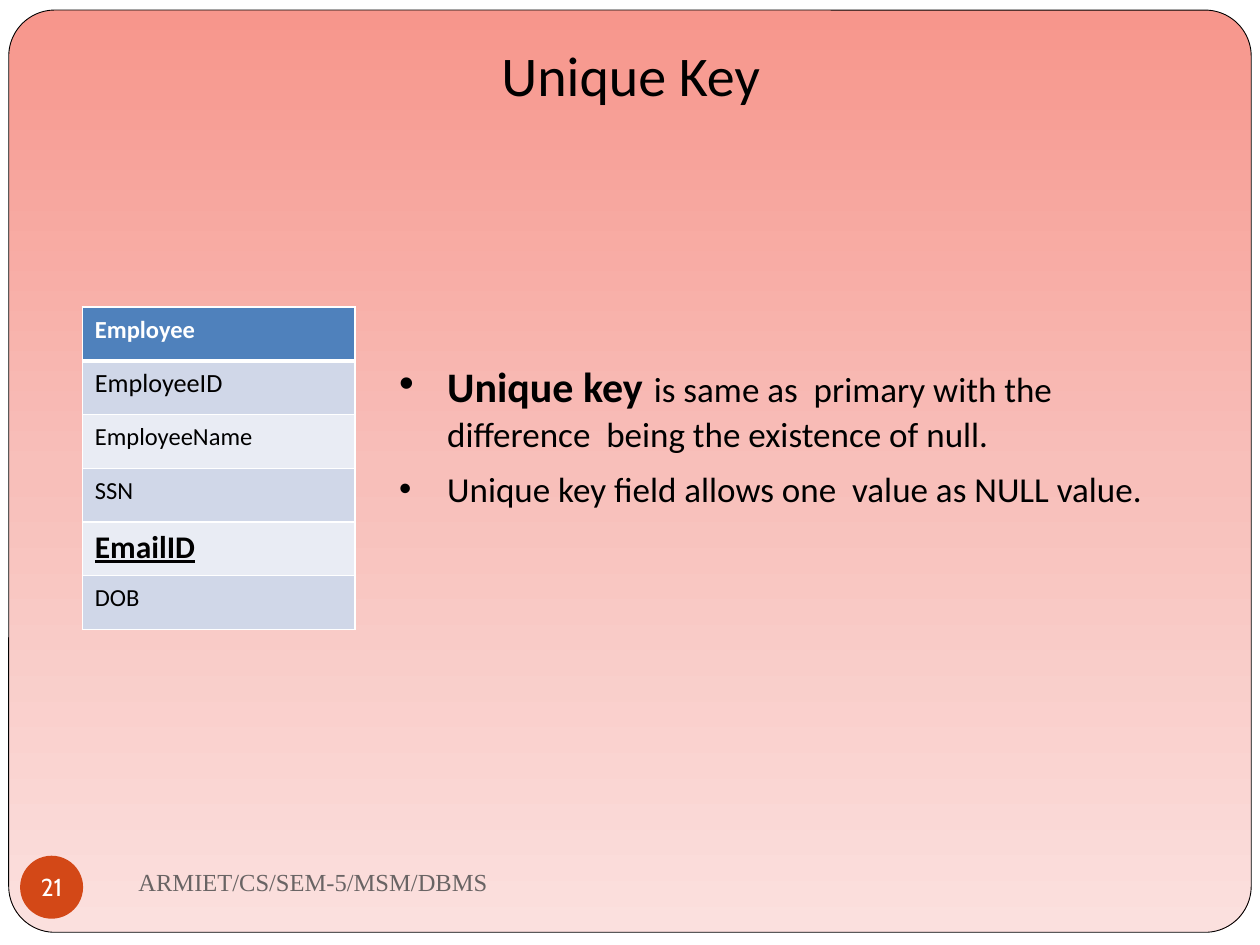
from dataclasses import dataclass

import lxml.etree
import pptx
import pptx.dml.color
import pptx.enum.shapes
import pptx.enum.text
import pptx.oxml.ns
import pptx.util

Pt = pptx.util.Pt
qn = pptx.oxml.ns.qn
Anchor = pptx.enum.text.MSO_ANCHOR
Align = pptx.enum.text.PP_ALIGN
Preset = pptx.enum.shapes.MSO_SHAPE

BLACK, WHITE = "000000", "FFFFFF"
BACKDROP_STOPS = ((0, "F7968C"), (50, "F8BFBA"), (100, "FBE0DE"))
BULLET_INDENT = 28


@dataclass
class Field:
    name: str
    fill: str
    size: float = 14
    color: str = BLACK
    bold: bool = False
    underline: bool = False
    top_inset: float = 4.5


@dataclass
class Phrase:
    text: str
    size: float = 20
    bold: bool = False


FIELDS = [
    Field("Employee", "4F81BC", color=WHITE, bold=True),
    Field("EmployeeID", "D0D7E8", size=15, top_inset=4),
    Field("EmployeeName", "E9ECF4"),
    Field("SSN", "D0D7E8"),
    Field("EmailID", "E9ECF4", size=18, bold=True, underline=True, top_inset=3.5),
    Field("DOB", "D0D7E8"),
]

POINTS = [
    [Phrase("Unique key", 24, True), Phrase(" ", 28, True),
     Phrase("is same as  primary with the difference  being the existence of null.")],
    [Phrase("Unique key field allows one  value as NULL value.")],
]


def rgb(color: str):
    return pptx.dml.color.RGBColor.from_string(color)


def set_font(font, name: str, size: float, color: str, bold: bool = False) -> None:
    font.name, font.size, font.bold = name, Pt(size), bold
    font.color.rgb = rgb(color)


def set_frame(frame, anchor, left: float = 0, top: float = 0) -> None:
    frame.word_wrap = True
    frame.vertical_anchor = anchor
    frame.margin_left, frame.margin_top = Pt(left), Pt(top)
    frame.margin_right = frame.margin_bottom = 0


def add_child(parent, tag: str, **attributes: str):
    return lxml.etree.SubElement(parent, qn(tag), **attributes)


def add_preset(slide, preset, left: float, top: float, width: float, height: float):
    shape = slide.shapes.add_shape(preset, Pt(left), Pt(top), Pt(width), Pt(height))
    shape.shadow.inherit = False
    return shape


def add_backdrop(slide) -> None:
    panel = add_preset(slide, Preset.ROUNDED_RECTANGLE, 5, 5.75, 710, 527)
    panel.adjustments[0] = 0.05
    panel.line.color.rgb = rgb(BLACK)
    panel.line.width = Pt(0.5)
    panel.fill.gradient()
    panel.fill.gradient_angle = 270
    stops = panel.element.spPr.find(qn("a:gradFill")).find(qn("a:gsLst"))
    for stop in list(stops):
        stops.remove(stop)
    for position, color in BACKDROP_STOPS:
        stop = add_child(stops, "a:gs", pos=str(position * 1000))
        add_child(stop, "a:srgbClr", val=color)
    # Send the panel behind the title
    slide.shapes.title.element.addprevious(panel.element)


def add_borders(cell, top: float, bottom: float) -> None:
    properties = cell._tc.get_or_add_tcPr()
    sides = (("a:lnL", 1), ("a:lnR", 1), ("a:lnT", top), ("a:lnB", bottom))
    for index, (tag, width) in enumerate(sides):
        line = add_child(properties, tag, w=str(Pt(width)))
        add_child(add_child(line, "a:solidFill"), "a:srgbClr", val=WHITE)
        properties.insert(index, line)


def add_employee_table(slide, fields: list[Field]) -> None:
    row_height = 30.7
    table = slide.shapes.add_table(len(fields), 1, Pt(47), Pt(175.5), Pt(156),
                                   Pt(row_height * len(fields))).table
    for index, field in enumerate(fields):
        table.rows[index].height = Pt(row_height)
        cell = table.cell(index, 0)
        cell.fill.solid()
        cell.fill.fore_color.rgb = rgb(field.fill)
        cell.margin_left, cell.margin_top = Pt(7.2), Pt(field.top_inset)
        cell.margin_right = cell.margin_bottom = 0
        cell.text = field.name
        font = cell.text_frame.paragraphs[0].font
        set_font(font, "Calibri", field.size, field.color, field.bold)
        font.underline = field.underline
        add_borders(cell, top=3 if index == 1 else 1, bottom=3 if index == 0 else 1)


def add_points(slide, points: list[list[Phrase]]) -> None:
    frame = slide.shapes.add_textbox(Pt(227.5), Pt(201), Pt(453), Pt(91.5)).text_frame
    set_frame(frame, Anchor.TOP, top=1)
    for index, phrases in enumerate(points):
        paragraph = frame.add_paragraph() if index else frame.paragraphs[0]
        if index:
            paragraph.space_before = Pt(7.7)
        properties = paragraph._p.get_or_add_pPr()
        properties.set("marL", str(Pt(BULLET_INDENT)))
        properties.set("indent", str(-Pt(BULLET_INDENT - 0.5)))
        add_child(properties, "a:buFont", typeface="Arial")
        add_child(properties, "a:buChar", char="•")
        for phrase in phrases:
            run = paragraph.add_run()
            run.text = phrase.text
            set_font(run.font, "Calibri", phrase.size, BLACK, phrase.bold)


def main() -> None:
    deck = pptx.Presentation()
    deck.slide_width, deck.slide_height = Pt(720), Pt(540)
    slide = deck.slides.add_slide(deck.slide_layouts[5])
    slide.background.fill.solid()
    slide.background.fill.fore_color.rgb = rgb(WHITE)
    add_backdrop(slide)

    # Title
    title = slide.shapes.title
    title.left, title.top, title.width, title.height = Pt(205), Pt(21.5), Pt(311), Pt(40)
    title.text = "Unique Key"
    set_frame(title.text_frame, Anchor.BOTTOM, top=1)
    heading = title.text_frame.paragraphs[0]
    heading.alignment = Align.CENTER
    set_font(heading.font, "Calibri", 32, BLACK)

    # Footer and page number
    footer = slide.shapes.add_textbox(Pt(72), Pt(486), Pt(312), Pt(36)).text_frame
    set_frame(footer, Anchor.MIDDLE, left=7.2)
    footer.text = "ARMIET/CS/SEM-5/MSM/DBMS"
    set_font(footer.paragraphs[0].font, "Times New Roman", 14, "696464")

    badge = add_preset(slide, Preset.OVAL, 11.5, 489, 36, 36)
    badge.fill.solid()
    badge.fill.fore_color.rgb = rgb("D34817")
    badge.line.fill.background()
    set_frame(badge.text_frame, Anchor.MIDDLE)
    badge.text_frame.word_wrap = False
    badge.text_frame.text = "21"
    page_number = badge.text_frame.paragraphs[0]
    page_number.alignment = Align.CENTER
    set_font(page_number.font, "Cabin", 14, WHITE)

    # Content
    add_points(slide, POINTS)
    add_employee_table(slide, FIELDS)
    deck.save("out.pptx")


if __name__ == "__main__":
    main()
